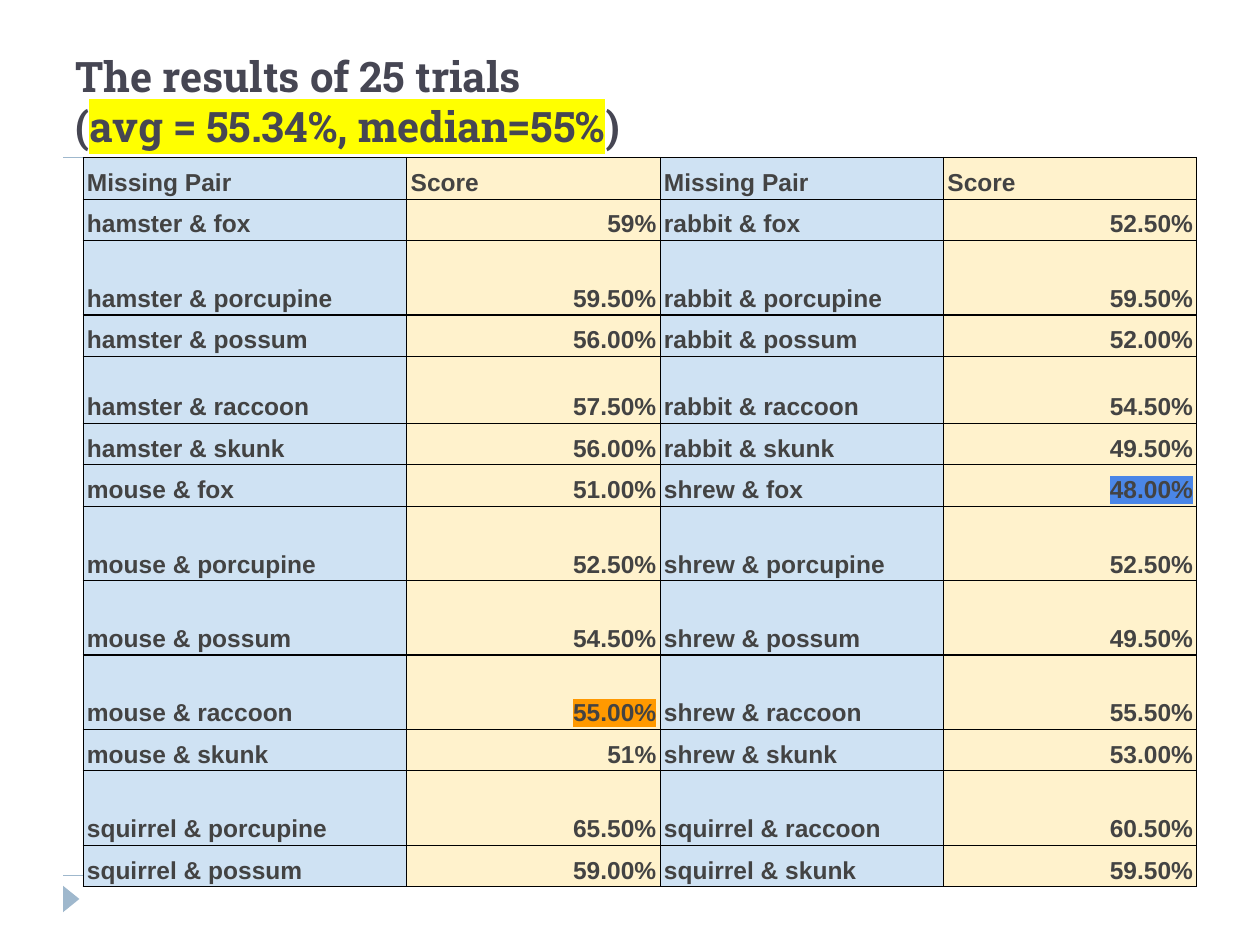
from typing import NamedTuple

from lxml.etree import SubElement
from pptx import Presentation
from pptx.dml.color import RGBColor
from pptx.enum.shapes import MSO_CONNECTOR as Connector, MSO_SHAPE as Preset
from pptx.enum.text import MSO_ANCHOR as Anchor, PP_ALIGN as Align
from pptx.oxml import parse_xml
from pptx.oxml.ns import nsdecls, qn
from pptx.util import Inches, Pt

ACCENT = "9FB8CD"
PAIR_FILL = "CFE2F3"
SCORE_FILL = "FFF2CC"
COLUMN_WIDTHS = [2.57, 2.01, 2.25, 2.01]
SHORT, MEDIUM, TALL = 0.33, 0.53, 0.59


class Trial(NamedTuple):
    pair: str
    score: str
    highlight: str | None = None


class ResultRow(NamedTuple):
    height: float
    left: Trial
    right: Trial


HEADER = Trial("Missing Pair", "Score")
RESULTS = [
    ResultRow(SHORT, HEADER, HEADER),
    ResultRow(SHORT, Trial("hamster & fox", "59%"), Trial("rabbit & fox", "52.50%")),
    ResultRow(TALL, Trial("hamster & porcupine", "59.50%"), Trial("rabbit & porcupine", "59.50%")),
    ResultRow(SHORT, Trial("hamster & possum", "56.00%"), Trial("rabbit & possum", "52.00%")),
    ResultRow(MEDIUM, Trial("hamster & raccoon", "57.50%"), Trial("rabbit & raccoon", "54.50%")),
    ResultRow(SHORT, Trial("hamster & skunk", "56.00%"), Trial("rabbit & skunk", "49.50%")),
    ResultRow(SHORT, Trial("mouse & fox", "51.00%"), Trial("shrew & fox", "48.00%", "4A86E8")),
    ResultRow(TALL, Trial("mouse & porcupine", "52.50%"), Trial("shrew & porcupine", "52.50%")),
    ResultRow(TALL, Trial("mouse & possum", "54.50%"), Trial("shrew & possum", "49.50%")),
    ResultRow(TALL, Trial("mouse & raccoon", "55.00%", "FF9900"), Trial("shrew & raccoon", "55.50%")),
    ResultRow(SHORT, Trial("mouse & skunk", "51%"), Trial("shrew & skunk", "53.00%")),
    ResultRow(TALL, Trial("squirrel & porcupine", "65.50%"), Trial("squirrel & raccoon", "60.50%")),
    ResultRow(SHORT, Trial("squirrel & possum", "59.00%"), Trial("squirrel & skunk", "59.50%")),
]


def color(value: str) -> RGBColor:
    return RGBColor.from_string(value)


def add_text(paragraph, text: str, *, size: float, font: str, fill: str,
             highlight: str | None = None) -> None:
    run = paragraph.add_run()
    run.text = text
    run.font.size = Pt(size)
    run.font.bold = True
    run.font.name = font
    run.font.color.rgb = color(fill)
    if highlight:
        marker = parse_xml(
            f'<a:highlight {nsdecls("a")}><a:srgbClr val="{highlight}"/></a:highlight>')
        run._r.get_or_add_rPr().find(qn("a:solidFill")).addnext(marker)


def add_rule(slide, top: float) -> None:
    connector = slide.shapes.add_connector(
        Connector.STRAIGHT, Inches(0.5), Inches(top), Inches(9.5), Inches(top))
    connector.line.color.rgb = color(ACCENT)
    connector.line.width = Pt(0.75)
    SubElement(connector._element.spPr, qn("a:effectLst"))


def add_marker(slide) -> None:
    shape = slide.shapes.add_shape(
        Preset.ISOSCELES_TRIANGLE, Inches(0.46), Inches(7.07), Inches(0.21), Inches(0.13))
    shape.rotation = 90
    shape.shadow.inherit = False
    shape.fill.solid()
    shape.fill.fore_color.rgb = color(ACCENT)
    shape.line.fill.background()


def add_title(slide) -> None:
    shape = slide.shapes.add_textbox(Inches(0.5), Inches(0.17), Inches(9), Inches(1.08))
    frame = shape.text_frame
    frame.word_wrap = True
    frame.vertical_anchor = Anchor.BOTTOM
    style = dict(size=24, font="Roboto Slab", fill="464653")
    add_text(frame.paragraphs[0], "The results of 25 trials", **style)
    summary = frame.add_paragraph()
    add_text(summary, "(", **style)
    add_text(summary, "avg = 55.34%, median=55%", highlight="FFFF00", **style)
    add_text(summary, ")", **style)


def add_borders(cell) -> None:
    properties = cell._tc.get_or_add_tcPr()
    for side in ("lnL", "lnR", "lnT", "lnB"):
        border = SubElement(properties, qn(f"a:{side}"), w=str(Pt(0.75)))
        fill = SubElement(border, qn("a:solidFill"))
        SubElement(fill, qn("a:srgbClr"), val="000000")


def fill_cell(cell, text: str, fill: str, *, align: Align = Align.LEFT,
              highlight: str | None = None) -> None:
    add_borders(cell)
    cell.fill.solid()
    cell.fill.fore_color.rgb = color(fill)
    cell.vertical_anchor = Anchor.BOTTOM
    cell.margin_left = cell.margin_right = Inches(0.03)
    cell.margin_top = cell.margin_bottom = Inches(0.02)
    paragraph = cell.text_frame.paragraphs[0]
    paragraph.alignment = align
    paragraph.line_spacing = 1.15
    add_text(paragraph, text, size=14, font="Arial", fill="434343", highlight=highlight)


def add_results(slide) -> None:
    heights = [result.height for result in RESULTS]
    table = slide.shapes.add_table(
        len(RESULTS), len(COLUMN_WIDTHS), Inches(0.66), Inches(1.25),
        Inches(sum(COLUMN_WIDTHS)), Inches(sum(heights))).table
    table.first_row = table.horz_banding = False
    for column, width in zip(table.columns, COLUMN_WIDTHS):
        column.width = Inches(width)
    for row_index, result in enumerate(RESULTS):
        table.rows[row_index].height = Inches(result.height)
        for column_index, trial in ((0, result.left), (2, result.right)):
            align = Align.LEFT if trial is HEADER else Align.RIGHT
            fill_cell(table.cell(row_index, column_index), trial.pair, PAIR_FILL)
            fill_cell(table.cell(row_index, column_index + 1), trial.score, SCORE_FILL,
                      align=align, highlight=trial.highlight)


def main() -> None:
    presentation = Presentation()
    presentation.slide_width = Inches(10)
    presentation.slide_height = Inches(7.5)
    slide = presentation.slides.add_slide(presentation.slide_layouts[6])
    for top in (6.95, 1.25):
        add_rule(slide, top)
    add_marker(slide)
    add_title(slide)
    add_results(slide)
    presentation.save("out.pptx")


if __name__ == "__main__":
    main()
